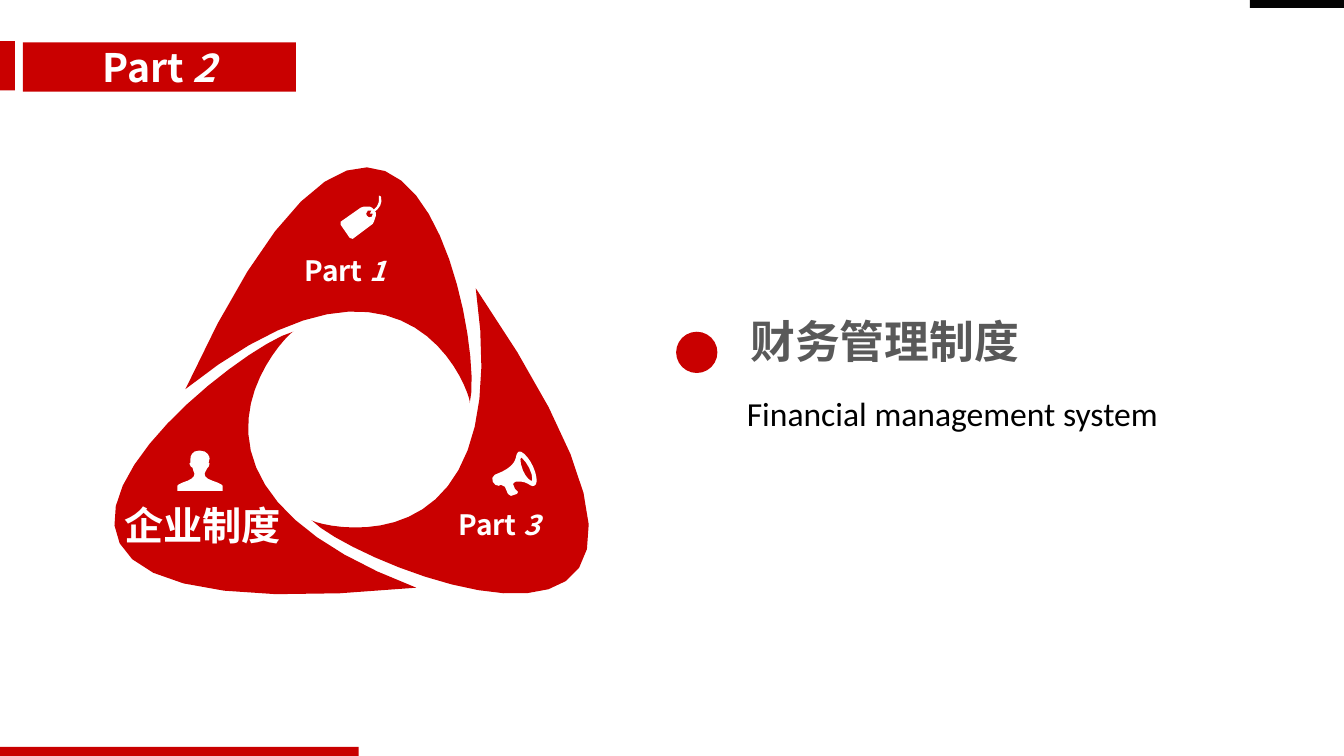
import math

from pptx import Presentation
from pptx import util as u
from pptx.dml.color import RGBColor
from pptx.enum import shapes, text

RED, WHITE, BLACK, GREY = "C90000", "FFFFFF", "040404", "595959"
UNIT = u.Cm(0.0254)  # outline grid
MOST_STEPS = 20  # points on a long curve
STEP_LENGTH = 5  # grid units between points on a short curve

# Outlines: contours split by "|", segments by ","; 2 numbers are a point, 6 a cubic curve
BLADES = [
    "184 386, 411 205 470 400 466 400, 482 343 402 -88 184 386",
    "413 583, 133 477 290 326 291 329, 230 344 -140 637 413 583",
    "472 286, 514 581 307 519 309 516, 351 561 784 741 472 286",
]
TAG = (
    "378 195, 376 194, 376 196, 377 201 374 206 371 208, 369 206, 367 205, 361 205,"
    "358 206, 338 220, 337 221 337 222 338 223, 347 236, 348 237 349 237 350 237,"
    "370 222, 371 220, 373 214, 373 211, 372 210, 376 207 380 202 378 195"
    "|369 215, 367 216 365 216 364 214, 363 213 363 211 365 209, 369 209,"
    "368 210, 367 212, 370 212, 370 213 370 214 369 215"
)
PERSON = (
    "211 477, 205 475 203 473 203 470, 203 467 205 468 206 464, 206 463 208 464 208 460,"
    "207 459, 208 455, 208 453 206 447 198 447, 190 447 189 453 189 455, 189 459,"
    "188 460, 189 464 190 463 191 464, 191 468 193 467 193 470,"
    "193 473 191 475 186 477, 180 479 176 481 176 482, 176 487, 221 487, 221 482,"
    "221 481 217 479 211 477"
)
MEGAPHONE = (
    "529 463, 525 454 518 447 515 448, 509 451 518 461 491 471, 488 472 488 476 489 478,"
    "490 480 493 483 495 482, 497 481, 499 483 501 482 501 483, 504 490,"
    "505 491 506 492 507 492, 513 490, 514 488, 511 485, 509 480,"
    "508 479 509 478 511 478, 524 476 526 484 530 482, 534 481 533 472 529 463"
    "|528 477, 527 478 522 474 519 467, 516 460 516 454 517 454,"
    "517 453 522 458 525 464, 529 471 528 477 528 477"
)


def color(hex_code):
    return RGBColor.from_string(hex_code)


def write(shape, content, number="", font="Noto Sans CJK SC", size=20, fill=WHITE, bold=True,
          align=text.PP_ALIGN.CENTER, anchor=text.MSO_ANCHOR.TOP, spacing=1.0, inset=None):
    """Fill a shape with one paragraph, ending in an optional italic number."""
    frame = shape.text_frame
    frame.word_wrap = True
    frame.auto_size = text.MSO_AUTO_SIZE.NONE
    frame.vertical_anchor = anchor
    if inset is not None:
        frame.margin_left = frame.margin_right = u.Cm(inset)
        frame.margin_top = frame.margin_bottom = u.Cm(inset)
    paragraph = frame.paragraphs[0]
    paragraph.alignment = align
    paragraph.line_spacing = spacing
    paragraph.space_before = u.Pt(0)
    for part, italic in ((content, False), (number, True)):
        if part:
            run = paragraph.add_run()
            run.text = part
            run.font.name, run.font.size = font, u.Pt(size)
            run.font.bold, run.font.italic = bold, italic
            run.font.color.rgb = color(fill)


def trace(contour):
    """Turn one contour into a list of points in slide units."""
    points = []
    for segment in contour.split(","):
        numbers = [int(number) * UNIT for number in segment.split()]
        if len(numbers) == 2:
            points.append(tuple(numbers))
            continue
        corners = [points[-1], *zip(numbers[::2], numbers[1::2])]
        length = sum(map(math.dist, corners, corners[1:])) / UNIT
        steps = min(MOST_STEPS, math.ceil(length / STEP_LENGTH))
        for step in range(1, steps + 1):
            t = step / steps
            weights = ((1 - t) ** 3, 3 * t * (1 - t) ** 2, 3 * t * t * (1 - t), t ** 3)
            points.append(tuple(sum(w * corner[axis] for w, corner in zip(weights, corners))
                                for axis in (0, 1)))
    return points


class Canvas:
    def __init__(self, slide):
        self.slide = slide

    def paint(self, shape, fill):
        shape.shadow.inherit = False
        shape.fill.solid()
        shape.fill.fore_color.rgb = color(fill)
        shape.line.fill.background()
        return shape

    def block(self, box, fill=RED, kind=shapes.MSO_SHAPE.RECTANGLE):
        return self.paint(self.slide.shapes.add_shape(kind, *map(u.Cm, box)), fill)

    def outline(self, contours, fill):
        first, *others = map(trace, contours.split("|"))
        builder = self.slide.shapes.build_freeform(*first[0])
        builder.add_line_segments(first[1:], close=True)
        for points in others:
            builder.move_to(*points[0])
            builder.add_line_segments(points[1:], close=True)
        return self.paint(builder.convert_to_shape(), fill)

    def label(self, box, content, **style):
        write(self.slide.shapes.add_textbox(*map(u.Cm, box)), content, **style)

    def title(self, box, content, **style):
        title = self.slide.shapes.title
        title.left, title.top, title.width, title.height = map(u.Cm, box)
        write(title, content, **style)


def main():
    presentation = Presentation()
    presentation.slide_width, presentation.slide_height = u.Cm(33.87), u.Cm(19.05)
    canvas = Canvas(presentation.slides.add_slide(presentation.slide_layouts[5]))
    middle = text.MSO_ANCHOR.MIDDLE

    # Header tab and edge bars
    canvas.block((-0.03, 1.04, 0.41, 1.24))
    header = canvas.block((0.58, 1.07, 6.88, 1.24))
    write(header, "Part ", number="2", size=28, anchor=middle)
    canvas.block((-0.03, 18.82, 9.07, 0.25))
    canvas.block((31.5, 0, 2.39, 0.2), BLACK)

    # Three blades with their icons
    for blade, icon in zip(BLADES, (TAG, PERSON, MEGAPHONE)):
        canvas.outline(blade, RED)
        canvas.outline(icon, WHITE)

    # Blade labels
    for left, top, number in ((5.26, 6.2, "1"), (9.14, 12.6, "3")):
        canvas.label((left, top, 6.88, 1.24), "Part ", number=number, anchor=middle)
    canvas.label((2.72, 12.52, 4.78, 1.45), "企业制度", font="Arial", size=28)

    # Section title
    canvas.block((17.04, 8.36, 1.04, 1.04), kind=shapes.MSO_SHAPE.OVAL)
    canvas.title((16.84, 7.9, 10.92, 1.37), "财务管理制度", font="Arial", size=32, fill=GREY, inset=0)
    canvas.label((18.57, 9.27, 13.11, 1.63), "Financial management system", font="Calibri", size=24,
                 fill="000000", bold=False, align=text.PP_ALIGN.LEFT, spacing=1.5)

    presentation.save("out.pptx")


if __name__ == "__main__":
    main()
